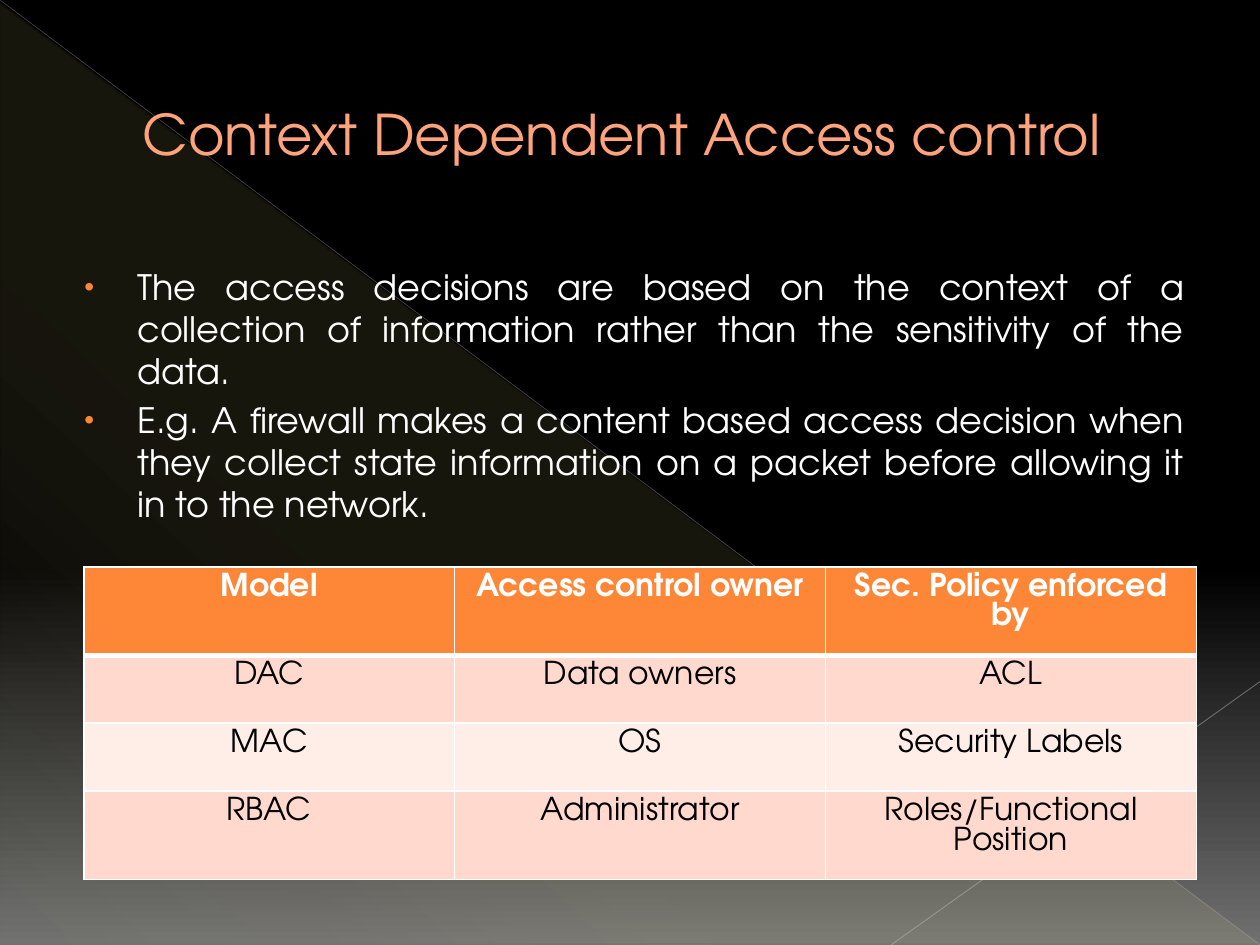
from lxml import etree
from pptx import Presentation
from pptx.dml.color import RGBColor
from pptx.enum.shapes import MSO_CONNECTOR, MSO_SHAPE
from pptx.enum.text import MSO_ANCHOR, MSO_AUTO_SIZE, PP_ALIGN
from pptx.oxml.ns import qn
from pptx.util import Cm, Pt

LEFT, CENTER, JUSTIFY = PP_ALIGN.LEFT, PP_ALIGN.CENTER, PP_ALIGN.JUSTIFY
MIDDLE, TOP = MSO_ANCHOR.MIDDLE, MSO_ANCHOR.TOP
NO_AUTOFIT = MSO_AUTO_SIZE.NONE
STRAIGHT = MSO_CONNECTOR.STRAIGHT
RIGHT_TRIANGLE = MSO_SHAPE.RIGHT_TRIANGLE

BLACK = RGBColor(0x00, 0x00, 0x00)
WHITE = RGBColor(0xFF, 0xFF, 0xFF)
GRAY = RGBColor(0x70, 0x70, 0x70)
YELLOW = RGBColor(0xFF, 0xF3, 0x9D)
LONG_LINE = RGBColor(0xBA, 0xBD, 0xC4)
SHORT_LINE = RGBColor(0xC1, 0xC4, 0xCA)
PEACH = RGBColor(0xFF, 0xA3, 0x7C)
ORANGE = RGBColor(0xFE, 0x86, 0x37)
BAND_DARK = RGBColor(0xFF, 0xD9, 0xCE)
BAND_LIGHT = RGBColor(0xFF, 0xED, 0xE8)

FONT = "TeX Gyre Adventor"
TITLE_FONT = {"name": FONT, "size": Pt(32), "color": PEACH}
BODY_FONT = {"name": FONT, "size": Pt(20), "color": WHITE}
HEADER_FONT = {"name": FONT, "size": Pt(18), "color": WHITE, "bold": True}
CELL_FONT = {"name": FONT, "size": Pt(18), "color": BLACK, "bold": False}

SLIDE_BOX = (0, 0, 25.4, 19.05)
TITLE_BOX = (1.27, 0.74, 22.86, 3.89)
BODY_BOX = (1.27, 5.23, 22.86, 12.7)
TABLE_BOX = (1.69, 11.43, 22.43, 5.48)

TITLE = "Context Dependent Access control"
BULLETS = [
    "The access decisions are based on the context of a collection of "
    "information rather than the sensitivity of the data.",
    "E.g. A firewall makes a content based access decision when they collect "
    "state information on a packet before allowing it in to the network.",
]
MODELS = [
    ("Model", "Access control owner", "Sec. Policy enforced by"),
    ("DAC", "Data owners", "ACL"),
    ("MAC", "OS", "Security Labels"),
    ("RBAC", "Administrator", "Roles/Functional Position"),
]


def format_font(font, values):
    for name, value in values.items():
        if name == "color":
            font.color.rgb = value
        else:
            setattr(font, name, value)


def add_element(parent, tag, **attributes):
    element = etree.SubElement(parent, qn(tag))
    for name, value in attributes.items():
        element.set(name, str(value))
    return element


def set_alpha(color_element, percent):
    add_element(color_element, "a:alpha", val=percent * 1000)


def set_indent(paragraph, margin, first_line=0):
    properties = paragraph._p.get_or_add_pPr()
    properties.set("marL", str(Cm(margin)))
    properties.set("indent", str(Cm(first_line)))
    return properties


def replace_solid_fill(parent, stops, angle):
    """Swap a solid fill for a gradient of (position, color, opacity) stops."""
    gradient = etree.Element(qn("a:gradFill"), rotWithShape="1")
    stop_list = add_element(gradient, "a:gsLst")
    for position, color, opacity in stops:
        stop = add_element(stop_list, "a:gs", pos=position * 1000)
        color_element = add_element(stop, "a:srgbClr", val=color)
        if opacity < 100:
            set_alpha(color_element, opacity)
    add_element(gradient, "a:lin", ang=angle * 60000, scaled=0)
    parent.replace(parent.find(qn("a:solidFill")), gradient)


def add_thin_line(slide, start, end, color, width, opacity):
    line = slide.shapes.add_connector(
        STRAIGHT, *(Cm(value) for value in (*start, *end)))
    line.line.color.rgb = color
    line.line.width = Pt(width)
    properties = line.element.spPr
    set_alpha(properties.find(".//" + qn("a:srgbClr")), opacity)
    add_element(properties, "a:effectLst")


def add_backdrop(slide, box):
    left, top, width, height = box
    right, bottom = left + width, top + height
    slide.background.fill.solid()
    replace_solid_fill(slide.element.find(".//" + qn("p:bgPr")),
                       [(0, BLACK, 100), (60, BLACK, 100), (100, GRAY, 100)], 90)

    triangle = slide.shapes.add_shape(
        RIGHT_TRIANGLE, *(Cm(value) for value in (left, top + 0.05, width, height - 0.05)))
    triangle.shadow.inherit = False
    triangle.line.fill.background()
    triangle.fill.solid()
    replace_solid_fill(triangle.element.spPr,
                       [(0, YELLOW, 10), (70, YELLOW, 8), (100, YELLOW, 1)], 133)

    add_thin_line(slide, (left, top), (right, bottom), LONG_LINE, 0.39, 35)
    add_thin_line(slide, (right, top + 13.74), (left + 17.96, bottom),
                  SHORT_LINE, 0.47, 45)


def add_title(slide, box):
    title = slide.shapes.title
    title.left, title.top, title.width, title.height = (Cm(value) for value in box)
    slide.shapes.element.append(title.element)  # in front of the backdrop
    frame = title.text_frame
    frame.text = TITLE
    frame.auto_size = NO_AUTOFIT
    frame.vertical_anchor = MIDDLE
    paragraph = frame.paragraphs[0]
    paragraph.alignment = LEFT
    set_indent(paragraph, 1.35)
    format_font(paragraph.runs[0].font, TITLE_FONT)


def add_bullets(slide, box):
    frame = slide.shapes.add_textbox(*(Cm(value) for value in box)).text_frame
    frame.word_wrap = True
    frame.text = "\n".join(BULLETS)
    for paragraph in frame.paragraphs:
        paragraph.alignment = JUSTIFY
        paragraph.space_before = Pt(4)
        format_font(paragraph.runs[0].font, BODY_FONT)
        properties = set_indent(paragraph, 1.25, -1.07)
        bullet_color = add_element(properties, "a:buClr")
        add_element(bullet_color, "a:srgbClr", val=ORANGE)
        add_element(properties, "a:buSzPct", val=80000)
        add_element(properties, "a:buFont", typeface="Arial")
        add_element(properties, "a:buChar", char="•")


def set_borders(cell, widths):
    """Draw white borders; they must come before the fill in the cell."""
    properties = cell._tc.get_or_add_tcPr()
    for index, (side, width) in enumerate(widths.items()):
        border = etree.Element(qn(f"a:ln{side}"), w=str(Pt(width)))
        fill = add_element(border, "a:solidFill")
        add_element(fill, "a:srgbClr", val=WHITE)
        properties.insert(index, border)


def add_model_table(slide, box):
    table = slide.shapes.add_table(
        len(MODELS), len(MODELS[0]), *(Cm(value) for value in box)).table
    for row, texts in enumerate(MODELS):
        is_header = row == 0
        band = ORANGE if is_header else BAND_DARK if row % 2 else BAND_LIGHT
        widths = {"L": 1, "R": 1, "T": 3 if row == 1 else 1, "B": 3 if is_header else 1}
        for column, text in enumerate(texts):
            cell = table.cell(row, column)
            cell.text = text
            cell.vertical_anchor = TOP
            cell.fill.solid()
            cell.fill.fore_color.rgb = band
            set_borders(cell, widths)
            paragraph = cell.text_frame.paragraphs[0]
            paragraph.alignment = CENTER
            format_font(paragraph.runs[0].font, HEADER_FONT if is_header else CELL_FONT)


def main():
    presentation = Presentation()
    presentation.slide_width, presentation.slide_height = (
        Cm(value) for value in SLIDE_BOX[2:])
    slide = presentation.slides.add_slide(
        presentation.slide_layouts.get_by_name("Title Only"))
    add_backdrop(slide, SLIDE_BOX)
    add_title(slide, TITLE_BOX)
    add_bullets(slide, BODY_BOX)
    add_model_table(slide, TABLE_BOX)
    presentation.save("out.pptx")


if __name__ == "__main__":
    main()
